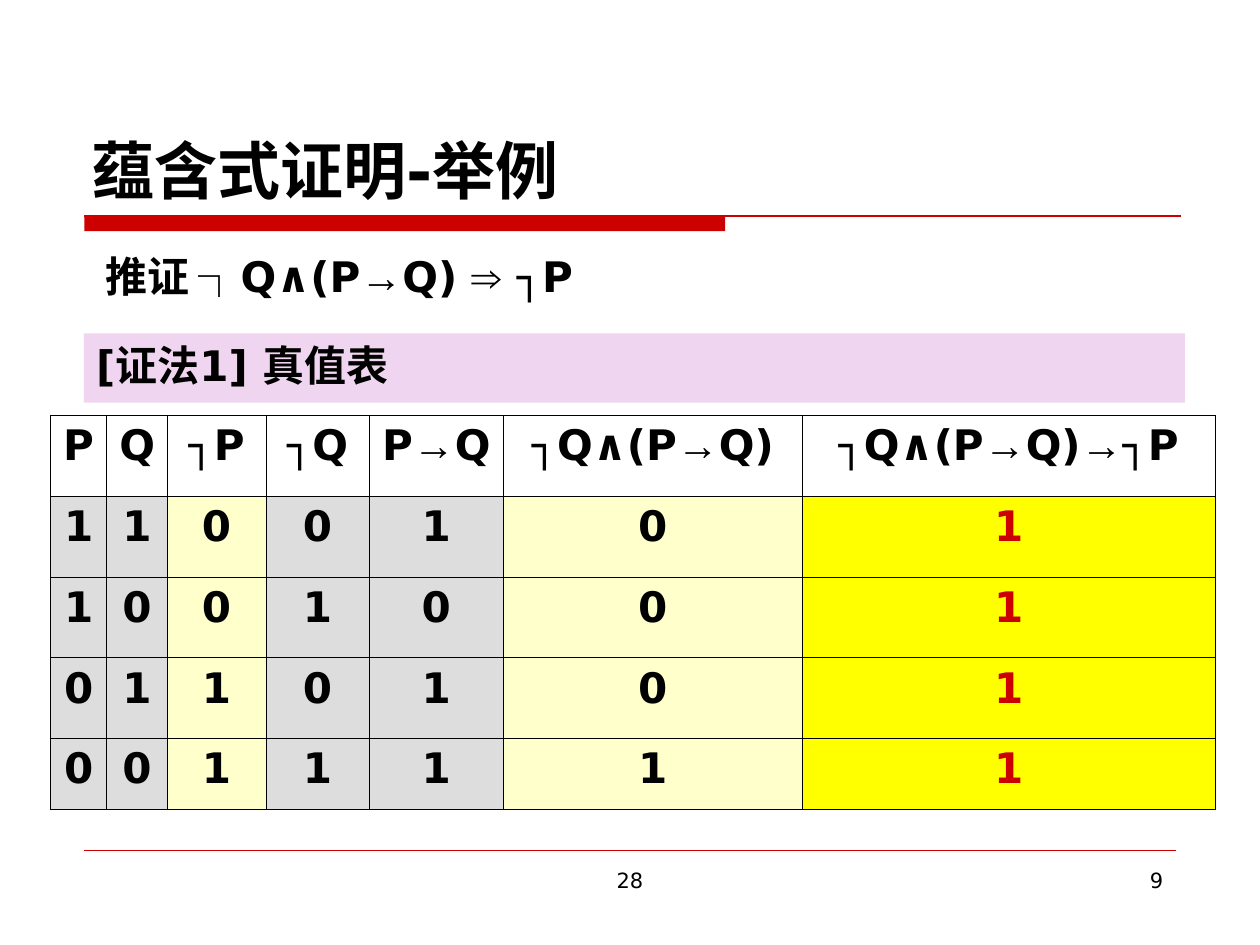
from dataclasses import dataclass
from itertools import groupby, product

from lxml import etree
from pptx import Presentation
from pptx.dml.color import RGBColor
from pptx.enum.shapes import MSO_CONNECTOR, MSO_SHAPE
from pptx.enum.text import MSO_ANCHOR, PP_ALIGN
from pptx.oxml.ns import qn
from pptx.util import Cm, Pt

RECT = MSO_SHAPE.RECTANGLE
LINE = MSO_CONNECTOR.STRAIGHT
TOP, BOTTOM = MSO_ANCHOR.TOP, MSO_ANCHOR.BOTTOM
LEFT, MID, RIGHT = PP_ALIGN.LEFT, PP_ALIGN.CENTER, PP_ALIGN.RIGHT


@dataclass(frozen=True)
class Theme:
    """Colours, fonts and type sizes of the slide."""
    ink: str = "000000"
    red: str = "CC0000"
    pink: str = "EFD5EF"
    grey: str = "DDDDDD"
    cream: str = "FFFFCC"
    gold: str = "FFFF00"
    font: str = "DejaVu Sans"
    sign: str = "Arial"
    head: int = 36
    body: int = 24
    foot: int = 12


THEME = Theme()


def paint(fill, tone):
    """Fill with one solid colour."""
    fill.solid()
    fill.fore_color.rgb = RGBColor.from_string(tone)


def write(frame, text, size, align=LEFT, bold=True, tone=THEME.ink):
    """Write one paragraph, with its arrows in the sign font."""
    para = frame.paragraphs[0]
    para.alignment = align
    for sign, part in groupby(text, lambda c: c in "→⇒"):
        run = para.add_run()
        run.text = "".join(part)
        font = run.font
        font.name = THEME.sign if sign else THEME.font
        font.size = Pt(size)
        font.bold = bold
        font.color.rgb = RGBColor.from_string(tone)


def label(slide, box, text, size, align=LEFT, bold=True, anchor=TOP):
    """Place a wrapped text box."""
    frame = slide.shapes.add_textbox(*map(Cm, box)).text_frame
    frame.word_wrap = True
    frame.vertical_anchor = anchor
    write(frame, text, size, align, bold)


def block(slide, box, tone):
    """Place a plain filled rectangle and return it."""
    shape = slide.shapes.add_shape(RECT, *map(Cm, box))
    shape.shadow.inherit = False
    paint(shape.fill, tone)
    shape.line.fill.background()
    return shape


def rule(slide, x, y, wide, weight):
    """Draw a level red line."""
    line = slide.shapes.add_connector(LINE, Cm(x), Cm(y), Cm(x + wide), Cm(y))
    line.line.color.rgb = RGBColor.from_string(THEME.red)
    line.line.width = Pt(weight)
    etree.SubElement(line._element.spPr, qn("a:effectLst"))


def header(slide, x, y, wide, high):
    """Place the title above its thick and thin rule."""
    base = y + high + 0.04
    block(slide, (x + 0.1, base, 12.92, 0.31), THEME.red)
    rule(slide, x + 0.1, base, wide - 0.12, 1)
    label(slide, (x, y, wide, high), "蕴含式证明-举例", THEME.head, anchor=BOTTOM)


def claim(slide, x, y, wide, high):
    """Place the statement and the shaded name of the proof method."""
    label(slide, (x + 0.18, y, wide - 0.38, 1.3), "推证 ┐Q∧(P→Q) ⇒ ┐P", THEME.body)
    band = block(slide, (x, y + high - 1.4, wide, 1.4), THEME.pink)
    frame = band.text_frame
    frame.word_wrap = True
    frame.vertical_anchor = TOP
    write(frame, "[证法1] 真值表", THEME.body)


def border(cell):
    """Give a cell thin lines on all four sides."""
    props = cell._tc.get_or_add_tcPr()
    for side in ("lnL", "lnR", "lnT", "lnB"):
        edge = etree.SubElement(props, qn(f"a:{side}"), w=str(Pt(0.45)))
        fill = etree.SubElement(edge, qn("a:solidFill"))
        etree.SubElement(fill, qn("a:srgbClr"), val=THEME.ink)


def truth():
    """Return the rows of truth values."""
    rows = []
    for p, q in product((1, 0), repeat=2):
        cond = int(not p or q)
        both = int(not q and cond)
        rows.append((p, q, 1 - p, 1 - q, cond, both, int(not both or not p)))
    return rows


def grid(slide, x, y, wide, high):
    """Place the truth table."""
    heads = ("P", "Q", "┐P", "┐Q", "P→Q", "┐Q∧(P→Q)", "┐Q∧(P→Q)→┐P")
    parts = (1.13, 1.22, 1.99, 2.08, 2.71, 6.02, 8.33)
    grey, cream = THEME.grey, THEME.cream
    tones = (grey, grey, cream, grey, grey, cream, THEME.gold)
    rows = [heads, *truth()]
    last = 1.43
    step = (high - last) / (len(rows) - 1)
    shape = slide.shapes.add_table(len(rows), len(heads), *map(Cm, (x, y, wide, high)))
    table = shape.table
    table.first_row = table.horz_banding = False
    for col, part in zip(table.columns, parts):
        col.width = Cm(wide * part / sum(parts))
    for r, row in enumerate(rows):
        table.rows[r].height = Cm(last if r == len(rows) - 1 else step)
        for c, value in enumerate(row):
            cell = table.cell(r, c)
            border(cell)
            if r:
                paint(cell.fill, tones[c])
            else:
                cell.fill.background()
            tone = THEME.red if r and tones[c] == THEME.gold else THEME.ink
            write(cell.text_frame, str(value), THEME.body, MID, tone=tone)


def footer(slide, x, y, wide, high):
    """Place the bottom line and the two numbers."""
    rule(slide, x, y, wide, 0.25)
    top = y + 0.21
    tall = high - 0.21
    label(slide, (x + (wide - 8.05) / 2, top, 8.05, tall), "28", THEME.foot, MID, False)
    label(slide, (x + wide - 5.5, top, 5.5, tall), "9", THEME.foot, RIGHT, False)


def main():
    """Build and save the slide."""
    deck = Presentation()
    deck.slide_width, deck.slide_height = Cm(25.4), Cm(19.05)
    slide = deck.slides.add_slide(deck.slide_layouts[6])
    header(slide, 1.6, 2.21, 22.22, 2.1)
    claim(slide, 1.69, 4.93, 22.2, 3.19)
    grid(slide, 1.02, 8.37, 23.48, 7.95)
    footer(slide, 1.7, 17.15, 22, 1.53)
    deck.save("out.pptx")


if __name__ == "__main__":
    main()
